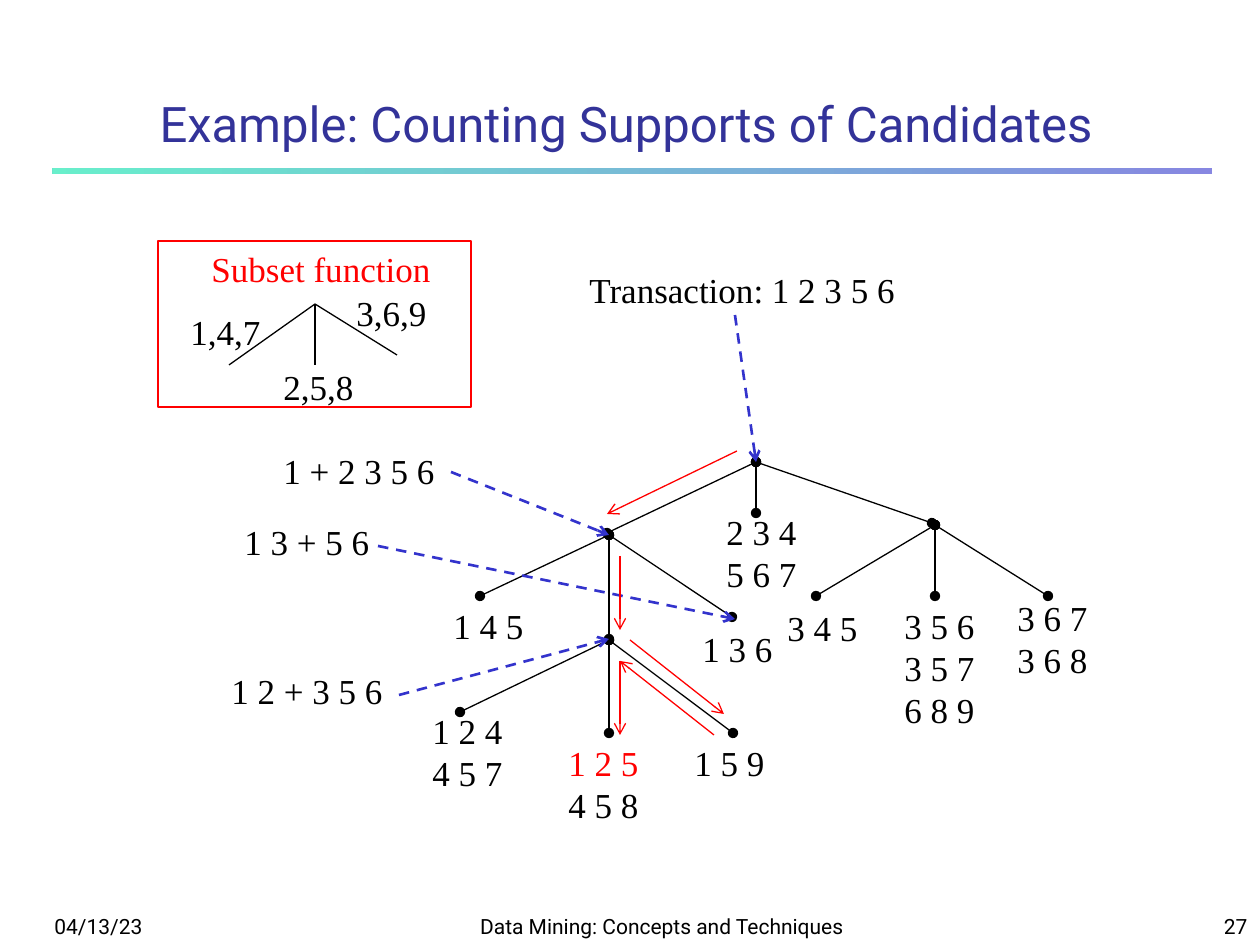
from dataclasses import dataclass

from lxml import etree
from pptx import Presentation
from pptx.dml.color import RGBColor
from pptx.enum.dml import MSO_LINE
from pptx.enum.shapes import MSO_CONNECTOR, MSO_SHAPE
from pptx.enum.text import MSO_ANCHOR, MSO_AUTO_SIZE, PP_ALIGN
from pptx.oxml.ns import qn
from pptx.util import Emu, Pt

LEFT, CENTER, RIGHT = PP_ALIGN.LEFT, PP_ALIGN.CENTER, PP_ALIGN.RIGHT
BOTTOM = MSO_ANCHOR.BOTTOM
FIT = MSO_AUTO_SIZE.SHAPE_TO_FIT_TEXT
DASH = MSO_LINE.DASH
RECT = MSO_SHAPE.RECTANGLE
STRAIGHT = MSO_CONNECTOR.STRAIGHT

ROW, PAD = 42, 13  # height of a label row, and of its insets
LEAF = 97  # width of a three-digit label


@dataclass(frozen=True)
class Theme:
    sans: str = "Roboto"
    serif: str = "Times New Roman"
    head: int = 28
    label: int = 20
    foot: int = 12
    thin: float = 0.75
    thick: float = 1.5
    ink: str = "000000"
    red: str = "FF0000"
    blue: str = "3333CC"
    navy: str = "333399"
    mint: str = "00E4A8"
    fade: int = 59


THEME = Theme()


def px(n):
    return Emu(round(n * 914400 / 126))


def rgb(code):
    return RGBColor.from_string(code)


def style(para, face, size, color):
    para.font.name = face
    para.font.size = Pt(size)
    para.font.color.rgb = rgb(color)


def band(shapes, x, y, w, h, text, size, color, align):
    """Sans text that sits on the bottom of a fixed frame."""
    frame = shapes.add_textbox(px(x), px(y), px(w), px(h)).text_frame
    frame.word_wrap = True
    frame.vertical_anchor = BOTTOM
    frame.text = text
    para = frame.paragraphs[0]
    para.alignment = align
    style(para, THEME.sans, size, color)


def label(shapes, x, y, w, text, first=THEME.ink):
    """Serif text, one row a line, with its own colour for the first row."""
    rows = text.count("\n") + 1
    box = shapes.add_textbox(px(x), px(y), px(w), px(PAD + ROW * rows))
    frame = box.text_frame
    frame.word_wrap = False
    frame.auto_size = FIT
    frame.text = text
    for i, para in enumerate(frame.paragraphs):
        style(para, THEME.serif, THEME.label, THEME.ink if i else first)


def line(shapes, start, end, color=THEME.ink, width=THEME.thin,
         head=None, tail=None, dash=None):
    link = shapes.add_connector(STRAIGHT, *map(px, start + end))
    link.line.color.rgb = rgb(color)
    link.line.width = Pt(width)
    if dash:
        link.line.dash_style = dash
    props = link.line._get_or_add_ln()
    for tag, kind in (("a:headEnd", head), ("a:tailEnd", tail)):
        if kind:
            etree.SubElement(props, qn(tag), type=kind)
    etree.SubElement(link._element.spPr, qn("a:effectLst"))


def rule(shapes):
    """Fading bar under the title."""
    bar = shapes.add_shape(RECT, px(53), px(168), px(1159), px(6))
    bar.shadow.inherit = False
    bar.line.fill.background()
    bar.fill.gradient()
    bar.fill.gradient_angle = 180
    for stop, color in zip(bar.fill.gradient_stops, (THEME.blue, THEME.mint)):
        stop.color.rgb = rgb(color)
    for tint in bar._element.spPr.iter(qn("a:srgbClr")):
        etree.SubElement(tint, qn("a:alpha"), val=str(THEME.fade * 1000))


def legend(shapes):
    top = (315, 304)
    for end in ((229, 365), (315, 365), (397, 355)):
        line(shapes, top, end)
    for x, y, text in ((178, 304, "1,4,7"), (271, 359, "2,5,8"),
                       (344, 285, "3,6,9")):
        label(shapes, x, y, LEAF, text)
    label(shapes, 199, 241, 246, "Subset function", THEME.red)
    box = shapes.add_shape(RECT, px(158), px(241), px(313), px(166))
    box.shadow.inherit = False
    box.fill.background()
    box.line.color.rgb = rgb(THEME.red)
    box.line.width = Pt(THEME.thin)


def tree(shapes):
    forks = (
        ((756, 462), ((607, 533), (932, 523), (756, 513))),
        ((609, 535), ((480, 596), (609, 639), (732, 617))),
        ((609, 640), ((460, 712), (609, 733), (733, 733))),
        ((935, 525), ((816, 596), (935, 596), (1048, 596))),
    )
    for node, kids in forks:
        for kid in kids:
            line(shapes, node, kid, head="oval", tail="oval")
    leaves = (
        (714, 504, "2 3 4\n5 6 7"), (441, 598, "1 4 5"),
        (690, 621, "1 3 6"), (420, 703, "1 2 4\n4 5 7"),
        (682, 735, "1 5 9"), (775, 600, "3 4 5"),
        (892, 598, "3 5 6\n3 5 7\n6 8 9"), (1005, 590, "3 6 7\n3 6 8"),
    )
    for x, y, text in leaves:
        label(shapes, x, y, LEAF, text)
    label(shapes, 556, 735, LEAF, "1 2 5\n4 5 8", THEME.red)


def steps(shapes):
    """Dashed arrows from each split of the transaction to its node."""
    splits = (
        (577, 262, 333, "Transaction: 1 2 3 5 6", (735, 315), (756, 462)),
        (271, 443, 179, "1 + 2 3 5 6", (451, 472), (609, 535)),
        (219, 663, 179, "1 2 + 3 5 6", (399, 695), (609, 639)),
        (232, 514, 152, "1 3 + 5 6", (378, 546), (735, 619)),
    )
    for x, y, w, text, start, end in splits:
        label(shapes, x, y, w, text)
        line(shapes, start, end, THEME.blue, THEME.thick,
             tail="arrow", dash=DASH)


def walk(shapes):
    """Red arrows that follow the visit of the tree."""
    moves = (
        ((737, 451), (607, 514)), ((630, 640), (724, 714)),
        ((714, 735), (620, 661)), ((620, 556), (620, 630)),
        ((620, 661), (620, 735)),
    )
    for start, end in moves:
        line(shapes, start, end, THEME.red, tail="arrow")


def main():
    deck = Presentation()
    deck.slide_width, deck.slide_height = px(1260), px(945)
    shapes = deck.slides.add_slide(deck.slide_layouts[6]).shapes
    rule(shapes)
    for x, w, text, align in (
            (42, 262, "04/13/23", LEFT),
            (462, 400, "Data Mining: Concepts and Techniques", CENTER),
            (998, 262, "27", RIGHT)):
        band(shapes, x, 892, w, 53, text, THEME.foot, THEME.ink, align)
    band(shapes, 89, 75, 1074, 84, "Example: Counting Supports of Candidates",
         THEME.head, THEME.navy, CENTER)
    legend(shapes.add_group_shape().shapes)
    tree(shapes.add_group_shape().shapes)
    steps(shapes)
    walk(shapes)
    deck.save("out.pptx")


if __name__ == "__main__":
    main()
